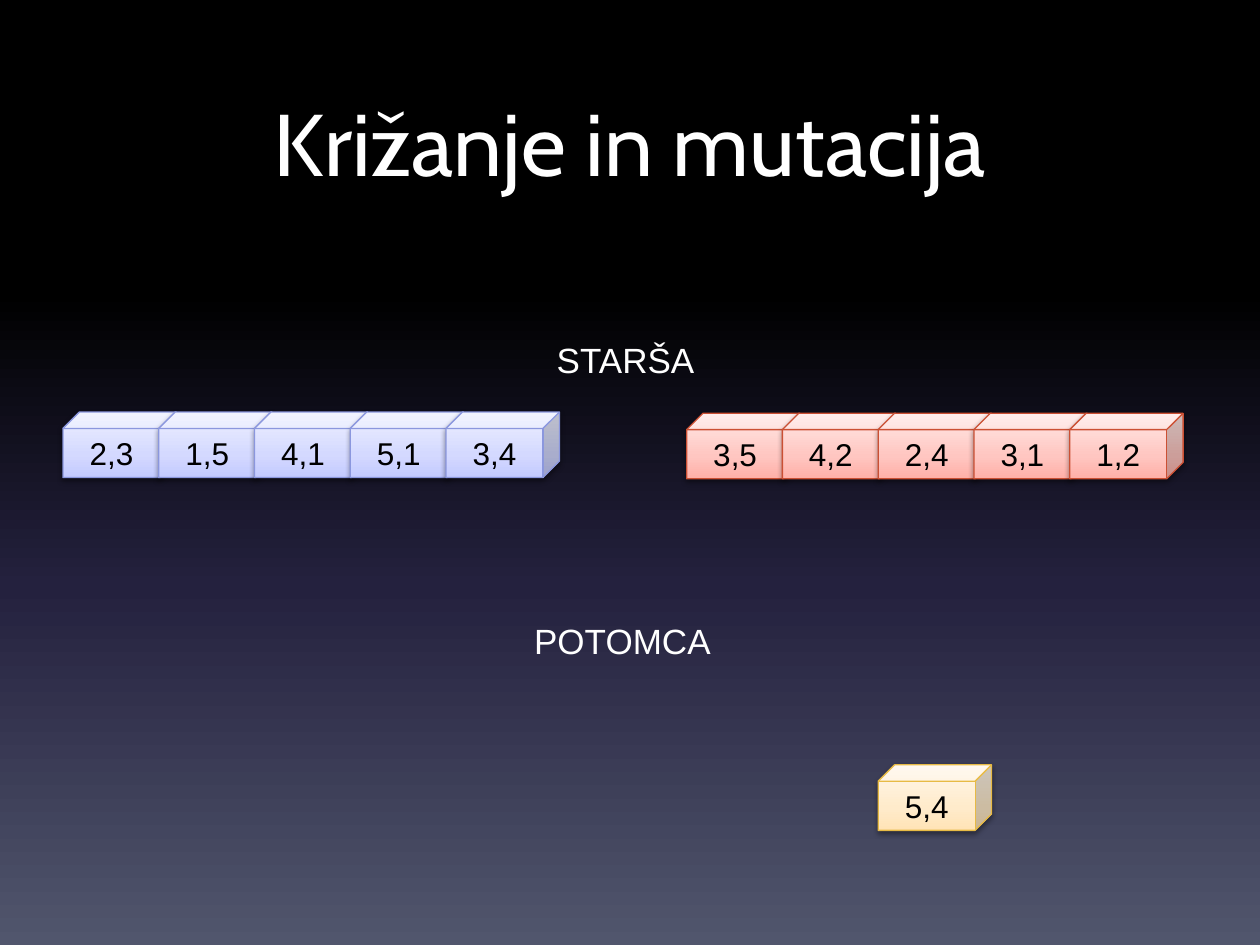
from lxml import etree
from pptx import Presentation
from pptx.dml.color import RGBColor
from pptx.enum.shapes import MSO_SHAPE
from pptx.enum.text import MSO_ANCHOR, MSO_AUTO_SIZE, PP_ALIGN
from pptx.oxml.ns import qn
from pptx.util import Inches, Pt

CUBE = MSO_SHAPE.CUBE
MIDDLE = MSO_ANCHOR.MIDDLE
CENTER, LEFT = PP_ALIGN.CENTER, PP_ALIGN.LEFT
FIT_SHAPE = MSO_AUTO_SIZE.SHAPE_TO_FIT_TEXT

# Content
TITLE = "Križanje in mutacija"
LABELS = [("STARŠA", 4.32, 2.64, 1.31), ("POTOMCA", 4.14, 4.87, 1.62)]
BACKGROUND = [(0, "000000"), (31, "000000"), (62, "24213E"), (100, "51566D")]

BLUE = {"stops": [(0, "C3CAFF"), (35, "D4D9FF"), (100, "EEF0FF")], "line": "8B97DE"}
RED = {"stops": [(0, "FFB0A8"), (35, "FFC6C1"), (100, "FFE9E7")], "line": "CB5034"}
YELLOW = {"stops": [(0, "FFE3B6"), (35, "FFEBCB"), (100, "FFF7EB")], "line": "E7BA45"}

# Rows of genes: values, left, top, colours
GENE_ROWS = [
    (["2,3", "1,5", "4,1", "5,1", "3,4"], 0.5, 3.27, BLUE),
    (["3,5", "4,2", "2,4", "3,1", "1,2"], 5.45, 3.28, RED),
    (["5,4"], 6.97, 6.07, YELLOW),
]
GENE_WIDTH, GENE_HEIGHT, GENE_STEP = 0.9, 0.52, 0.76


def color(value):
    return RGBColor.from_string(value)


def set_gradient(fill, element, stops, angle):
    """Fill with any number of (percent, colour) stops, angle in degrees clockwise."""
    fill.gradient()
    gradient = element.find(".//" + qn("a:gradFill"))
    for child in list(gradient):
        gradient.remove(child)
    stop_list = etree.SubElement(gradient, qn("a:gsLst"))
    for percent, value in stops:
        stop = etree.SubElement(stop_list, qn("a:gs"), pos=str(percent * 1000))
        etree.SubElement(stop, qn("a:srgbClr"), val=value)
    etree.SubElement(gradient, qn("a:lin"), ang=str(angle * 60000), scaled="0")


def set_shadow(shape):
    shape.shadow.inherit = False
    effects = shape.element.spPr.find(qn("a:effectLst"))
    shadow = etree.SubElement(effects, qn("a:outerShdw"), blurRad=str(Pt(3.1)),
                              dist=str(Pt(1.6)), dir="5400000", rotWithShape="0")
    shade = etree.SubElement(shadow, qn("a:srgbClr"), val="000000")
    etree.SubElement(shade, qn("a:alpha"), val="38000")


def write(shape, text, size, font, value, alignment):
    paragraph = shape.text_frame.paragraphs[0]
    paragraph.text = text
    paragraph.alignment = alignment
    paragraph.font.size = Pt(size)
    paragraph.font.name = font
    paragraph.font.color.rgb = color(value)


def add_gene(slide, text, left, top, colors):
    shape = slide.shapes.add_shape(CUBE, Inches(left), Inches(top),
                                   Inches(GENE_WIDTH), Inches(GENE_HEIGHT))
    set_gradient(shape.fill, shape.element, colors["stops"], 270)
    shape.line.color.rgb = color(colors["line"])
    shape.line.width = Pt(0.75)
    set_shadow(shape)
    shape.text_frame.vertical_anchor = MIDDLE
    write(shape, text, 18, "Arial", "000000", CENTER)


def main():
    presentation = Presentation()
    presentation.slide_width, presentation.slide_height = Inches(10), Inches(7.5)
    slide = presentation.slides.add_slide(presentation.slide_layouts[6])
    set_gradient(slide.background.fill, slide.element, BACKGROUND, 90)

    # Title
    title = slide.shapes.add_textbox(Inches(0.5), Inches(0.5), Inches(9), Inches(1.25))
    title.text_frame.word_wrap = True
    title.text_frame.vertical_anchor = MIDDLE
    write(title, TITLE, 50, "Cabin", "FFFFFF", CENTER)

    # Parents and offspring
    for values, left, top, colors in GENE_ROWS:
        for index, value in enumerate(values):
            add_gene(slide, value, left + index * GENE_STEP, top, colors)

    # Labels
    for text, left, top, width in LABELS:
        label = slide.shapes.add_textbox(Inches(left), Inches(top), Inches(width), Inches(0.44))
        label.text_frame.word_wrap = False
        label.text_frame.auto_size = FIT_SHAPE
        write(label, text, 20, "Arial", "FFFFFF", LEFT)

    presentation.save("out.pptx")


if __name__ == "__main__":
    main()
